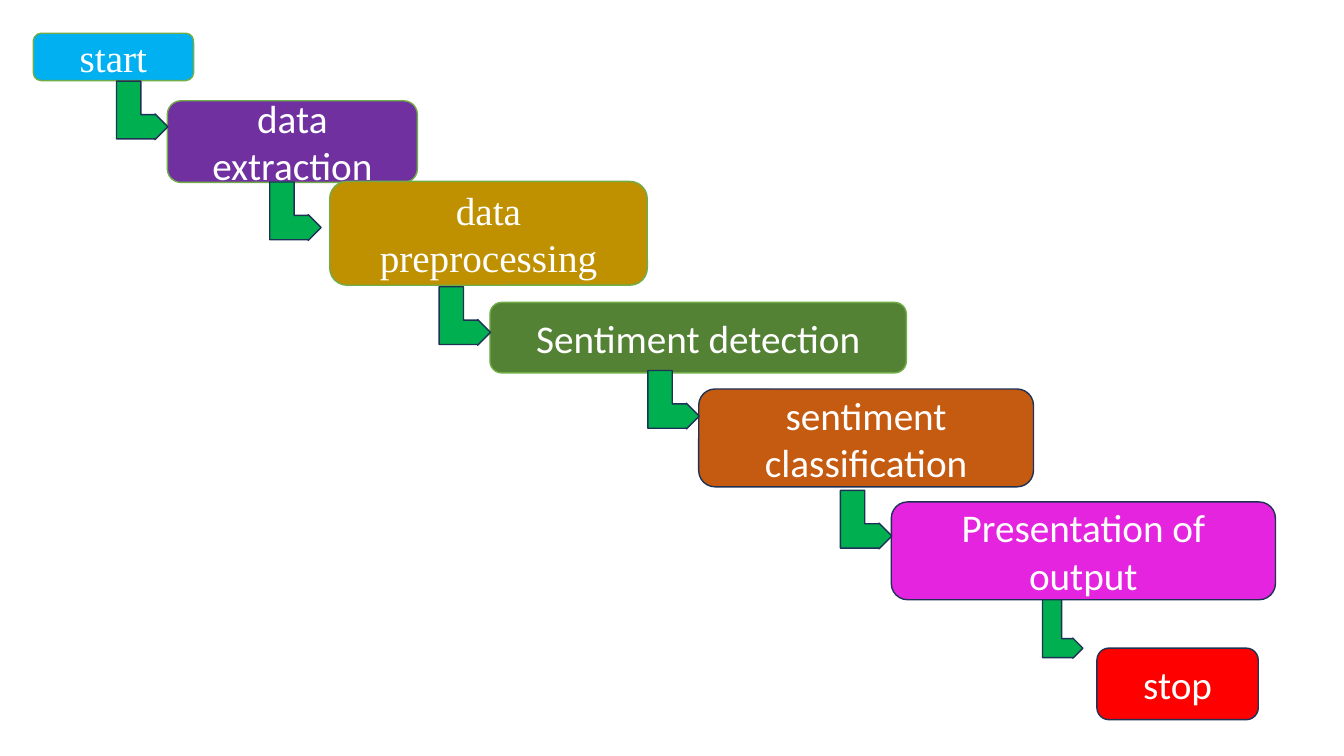
from typing import NamedTuple

from pptx import Presentation
from pptx.dml.color import RGBColor
from pptx.enum.shapes import MSO_SHAPE as Preset
from pptx.enum.text import MSO_ANCHOR as Anchor, PP_ALIGN as Align
from pptx.shapes.autoshape import Shape
from pptx.slide import Slide
from pptx.util import Emu, Pt

EMU_PER_PX = 9144  # 100 px to the inch
GREEN, NAVY = "70AD47", "1E3256"
SANS, SERIF = "Calibri", "Times New Roman"


class Step(NamedTuple):
    text: str
    left: int
    top: int
    width: int
    height: int
    fill: str
    outline: str = NAVY
    font: str = SANS


class Arrow(NamedTuple):
    left: int
    top: int
    height: int = 51
    width: int = 58


STEPS = [
    Step("start", 33, 33, 159, 47, "00B0F0", GREEN, SERIF),
    Step("data extraction", 166, 100, 248, 81, "7030A0", GREEN),
    Step("data preprocessing", 327, 180, 315, 103, "BF9000", GREEN, SERIF),
    Step("Sentiment detection", 486, 300, 413, 70, "548235", GREEN),
    Step("sentiment classification", 693, 386, 332, 97, "C55A11"),
    Step("Presentation of output", 884, 498, 381, 97, "E424DF"),
    Step("stop", 1088, 643, 160, 71, "FF0000"),
]
ARROWS = [
    Arrow(112, 84),
    Arrow(264, 184),
    Arrow(432, 288),
    Arrow(639, 371),
    Arrow(830, 490),
    Arrow(1025, 604, height=40),
]


def px(length: int) -> Emu:
    return Emu(length * EMU_PER_PX)


def color(value: str) -> RGBColor:
    return RGBColor.from_string(value)


def add_block(slide: Slide, preset: Preset, item: Step | Arrow,
              fill: str, outline: str) -> Shape:
    block = slide.shapes.add_shape(
        preset, px(item.left), px(item.top), px(item.width), px(item.height))
    block.shadow.inherit = False
    block.fill.solid()
    block.fill.fore_color.rgb = color(fill)
    block.line.color.rgb = color(outline)
    block.line.width = Pt(1)
    return block


def add_step(slide: Slide, step: Step) -> None:
    box = add_block(slide, Preset.ROUNDED_RECTANGLE, step, step.fill, step.outline)
    frame = box.text_frame
    frame.word_wrap = True
    frame.vertical_anchor = Anchor.MIDDLE
    frame.text = step.text
    para = frame.paragraphs[0]
    para.alignment = Align.CENTER
    font = para.runs[0].font
    font.name = step.font
    font.size = Pt(28)
    font.color.rgb = color("FFFFFF")


def add_arrow(slide: Slide, arrow: Arrow) -> None:
    """Turn a bent-up arrow so that it runs down and then right."""
    bend = add_block(slide, Preset.BENT_UP_ARROW, arrow, "00B050", NAVY)
    bend.rotation = 90
    bend.adjustments[0] = 0.474


def main() -> None:
    deck = Presentation()
    deck.slide_width, deck.slide_height = px(1333), px(750)
    slide = deck.slides.add_slide(deck.slide_layouts[6])
    for step in STEPS:
        add_step(slide, step)
    for arrow in ARROWS:
        add_arrow(slide, arrow)
    deck.save("out.pptx")


if __name__ == "__main__":
    main()
